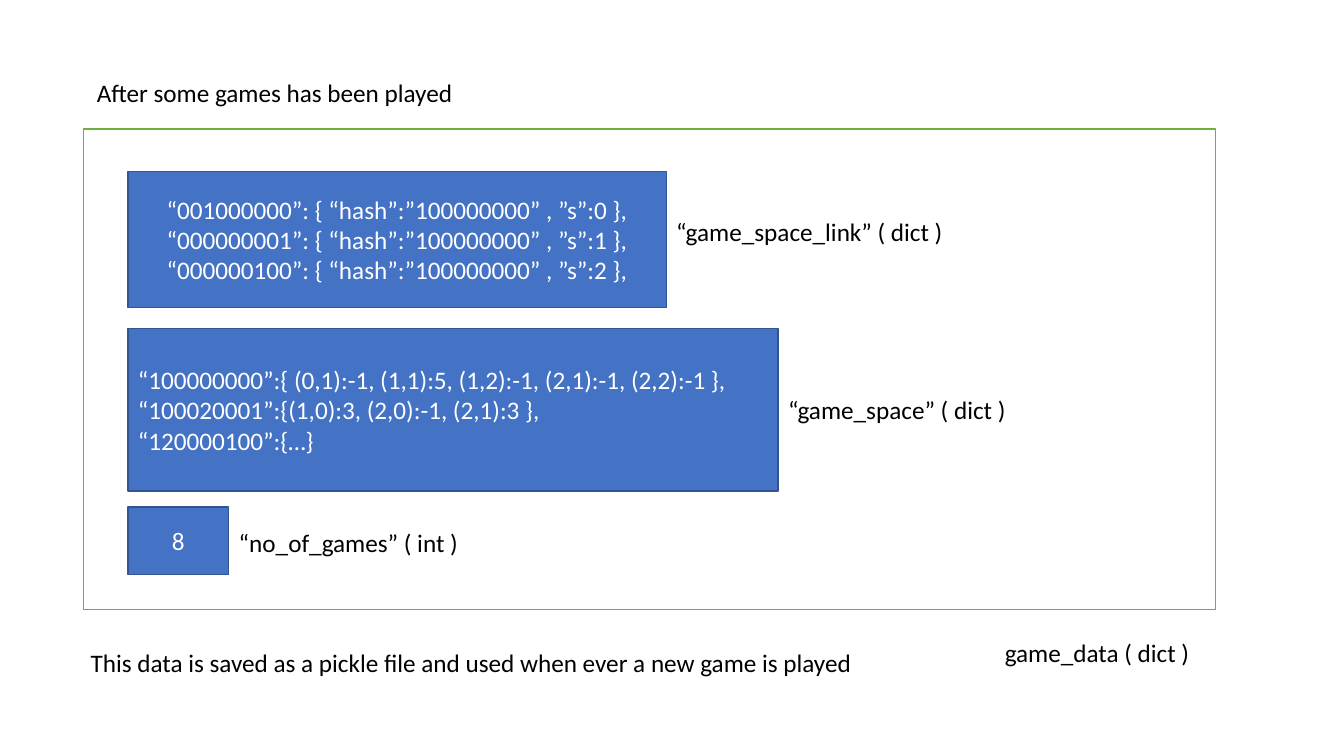
"""Build a slide showing the game data dictionary after some games."""
import pptx
import pptx.util
import pptx.dml.color
import pptx.enum.shapes
import pptx.enum.text

Pt = pptx.util.Pt
ALIGN = pptx.enum.text.PP_ALIGN

COLORS = {"paper": "FFFFFF", "ink": "000000", "block": "4472C4", "edge": "325491", "frame": "70AD47"}
FONT, SIZE = "Calibri", 18
LABEL_HEIGHT = 29
BLOCK_LEFT = 91.44

HEADING = ("After some games has been played", 61.92, 51.84, 272.16)
GAME_DATA = (59.76, 92.16, 808.56, 343.44)
ENTRIES = [
    {"lines": ["“001000000”: { “hash”:”100000000” , ”s”:0 },",
               "“000000001”: { “hash”:”100000000” , ”s”:1 },",
               "“000000100”: { “hash”:”100000000” , ”s”:2 },"],
     "align": ALIGN.CENTER, "top": 122.4, "width": 384.48, "height": 97.2,
     "label": "“game_space_link” ( dict )", "label_top": 151.2, "label_width": 207.36},
    {"lines": ["“100000000”:{ (0,1):-1, (1,1):5, (1,2):-1, (2,1):-1, (2,2):-1 },",
               "“100020001”:{(1,0):3, (2,0):-1, (2,1):3 },",
               "“120000100”:{…}"],
     "align": ALIGN.LEFT, "top": 234.72, "width": 464.4, "height": 115.92,
     "label": "“game_space” ( dict )", "label_top": 277.92, "label_width": 172.8},
    {"lines": ["8"],
     "align": ALIGN.CENTER, "top": 362.16, "width": 72, "height": 48.24,
     "label": "“no_of_games” ( int )", "label_top": 372.96, "label_width": 172.8},
]
CAPTIONS = [
    ("game_data ( dict )", 710.64, 451.44, 148.32),
    ("This data is saved as a pickle file and used when ever a new game is played", 57.6, 458.64, 565.2),
]


def rgb(name):
    return pptx.dml.color.RGBColor.from_string(COLORS[name])


def write(frame, text, color, align=ALIGN.LEFT):
    frame.text = text
    for paragraph in frame.paragraphs:
        paragraph.alignment = align
        for run in paragraph.runs:
            run.font.name = FONT
            run.font.size = Pt(SIZE)
            run.font.color.rgb = rgb(color)


def add_process(slide, left, top, width, height, fill, line):
    process = slide.shapes.add_shape(
        pptx.enum.shapes.MSO_SHAPE.FLOWCHART_PROCESS, Pt(left), Pt(top), Pt(width), Pt(height))
    process.shadow.inherit = False
    process.fill.solid()
    process.fill.fore_color.rgb = rgb(fill)
    process.line.color.rgb = rgb(line)
    process.line.width = Pt(1)
    return process


def add_label(slide, text, left, top, width):
    label = slide.shapes.add_textbox(Pt(left), Pt(top), Pt(width), Pt(LABEL_HEIGHT)).text_frame
    label.word_wrap = False
    label.auto_size = pptx.enum.text.MSO_AUTO_SIZE.SHAPE_TO_FIT_TEXT
    write(label, text, "ink")


def main():
    deck = pptx.Presentation()
    deck.slide_width, deck.slide_height = Pt(960), Pt(540)
    slide = deck.slides.add_slide(deck.slide_layouts[5])

    text, left, top, width = HEADING
    heading = slide.shapes.title
    heading.left, heading.top = Pt(left), Pt(top)
    heading.width, heading.height = Pt(width), Pt(LABEL_HEIGHT)
    heading.text_frame.word_wrap = False
    heading.text_frame.auto_size = pptx.enum.text.MSO_AUTO_SIZE.NONE
    write(heading.text_frame, text, "ink")

    add_process(slide, *GAME_DATA, "paper", "frame")
    for entry in ENTRIES:
        block = add_process(slide, BLOCK_LEFT, entry["top"], entry["width"], entry["height"],
                            "block", "edge")
        block.text_frame.vertical_anchor = pptx.enum.text.MSO_ANCHOR.MIDDLE
        write(block.text_frame, "\n".join(entry["lines"]), "paper", entry["align"])
        add_label(slide, entry["label"], BLOCK_LEFT + entry["width"],
                  entry["label_top"], entry["label_width"])
    for caption in CAPTIONS:
        add_label(slide, *caption)
    deck.save("out.pptx")


if __name__ == "__main__":
    main()
